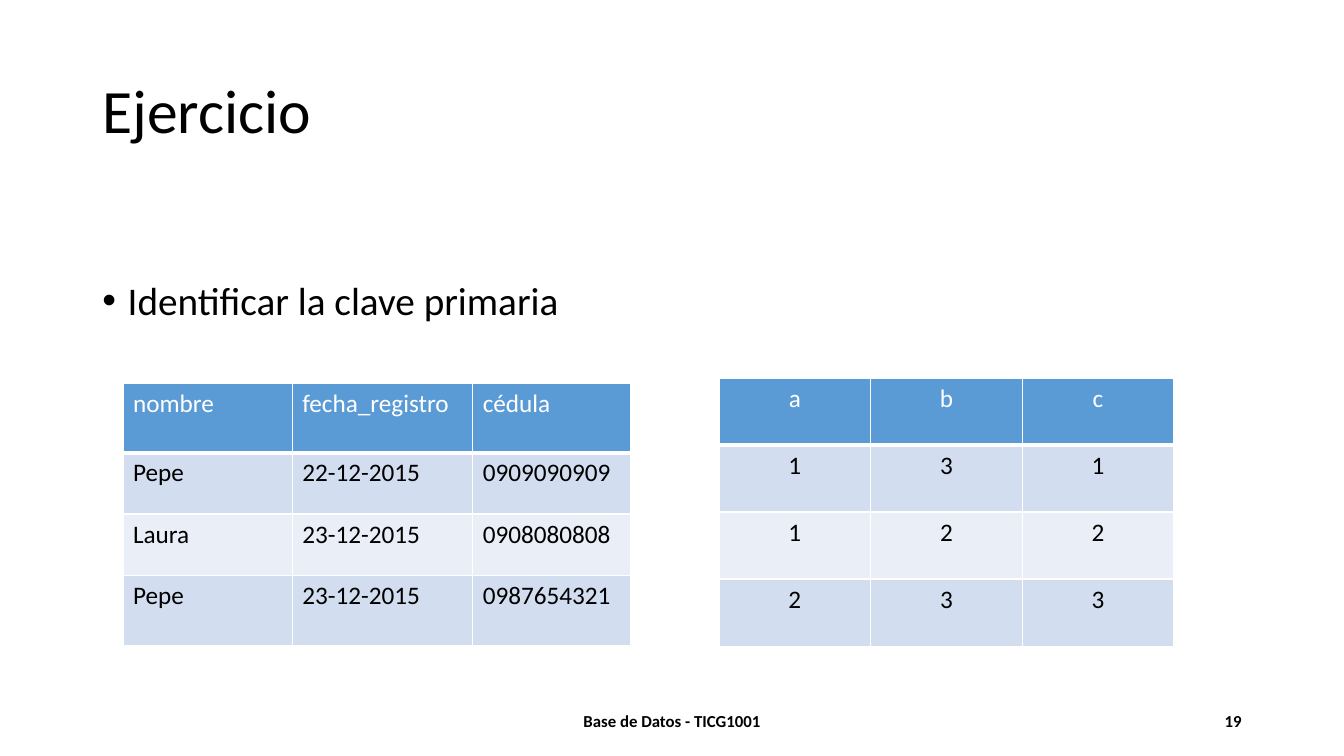
from dataclasses import dataclass
from typing import Any, NamedTuple

from lxml.etree import SubElement
from pptx import Presentation
from pptx.dml.color import RGBColor
from pptx.enum.text import MSO_ANCHOR, MSO_AUTO_SIZE, PP_ALIGN
from pptx.oxml.ns import qn
from pptx.util import Inches, Pt


@dataclass(frozen=True)
class Theme:
    font: str = "Calibri"
    ink: str = "000000"
    white: str = "FFFFFF"
    head: str = "5B9BD5"
    bands: tuple[str, str] = ("D2DEEF", "EAEFF7")
    title: int = 44
    body: int = 28
    cell: int = 18
    foot: int = 12
    thin: int = 1
    thick: int = 3


class Box(NamedTuple):
    """Place on a grid of 160 columns by 90 rows."""
    left: float
    top: float
    width: float
    height: float


@dataclass(frozen=True)
class Label:
    text: str
    box: Box
    align: PP_ALIGN


@dataclass(frozen=True)
class Grid:
    left: float
    top: float
    cols: list[float]
    rows: list[float]
    align: PP_ALIGN
    data: list[list[str]]


THEME = Theme()
WIDE, HIGH = Inches(13.33), Inches(7.5)
COL, ROW = WIDE / 160, HIGH / 90

LABELS = [
    Label("Base de Datos - TICG1001", Box(53, 83.4, 54, 4.8), PP_ALIGN.CENTER),
    Label("19", Box(113, 83.4, 36, 4.8), PP_ALIGN.RIGHT),
]
GRIDS = [
    Grid(85.6, 45, [18.05] * 3, [7.98] * 4, PP_ALIGN.CENTER, [
        ["a", "b", "c"],
        ["1", "3", "1"],
        ["1", "2", "2"],
        ["2", "3", "3"],
    ]),
    Grid(14.64, 45.6, [20.16, 21.48, 18.84], [8.3, 7.3, 7.3, 8.4], PP_ALIGN.LEFT, [
        ["nombre", "fecha_registro", "cédula"],
        ["Pepe", "22-12-2015", "0909090909"],
        ["Laura", "23-12-2015", "0908080808"],
        ["Pepe", "23-12-2015", "0987654321"],
    ]),
]


def apply(item: Any, style: dict[str, Any]) -> None:
    for name, value in style.items():
        setattr(item, name, value)


def scale(box: Box) -> dict[str, int]:
    return {"left": round(box.left * COL), "top": round(box.top * ROW),
            "width": round(box.width * COL), "height": round(box.height * ROW)}


def write(frame: Any, text: str, size: int, align: PP_ALIGN,
          color: str = THEME.ink, bold: bool = False) -> Any:
    frame.text = text
    par = frame.paragraphs[0]
    par.alignment = align
    font = par.runs[0].font
    apply(font, {"name": THEME.font, "size": Pt(size), "bold": bold})
    font.color.rgb = RGBColor.from_string(color)
    return par


def fill_holder(shape: Any, text: str, box: Box, size: int, anchor: MSO_ANCHOR) -> Any:
    apply(shape, scale(box))
    par = write(shape.text_frame, text, size, PP_ALIGN.LEFT)
    apply(shape.text_frame, {"vertical_anchor": anchor, "word_wrap": True,
                             "auto_size": MSO_AUTO_SIZE.NONE})
    apply(par, {"line_spacing": 0.9, "space_before": Pt(0)})
    return par


def add_bullet(par: Any) -> None:
    props = par._p.get_or_add_pPr()
    props.set("marL", str(Inches(0.25)))
    props.set("indent", str(-Inches(0.25)))
    SubElement(props, qn("a:buFont"), typeface="Arial")
    SubElement(props, qn("a:buChar"), char="•")


def add_label(slide: Any, label: Label) -> None:
    frame = slide.shapes.add_textbox(**scale(label.box)).text_frame
    apply(frame, {"word_wrap": True, "vertical_anchor": MSO_ANCHOR.MIDDLE})
    write(frame, label.text, THEME.foot, label.align, bold=True)


def add_edges(cell: Any, base: int) -> None:
    props = cell._tc.get_or_add_tcPr()
    for side in ("L", "R", "T", "B"):
        width = base if side == "B" else THEME.thin
        line = SubElement(props, qn(f"a:ln{side}"), w=str(Pt(width)))
        paint = SubElement(line, qn("a:solidFill"))
        SubElement(paint, qn("a:srgbClr"), val=THEME.white)


def add_grid(slide: Any, grid: Grid) -> None:
    box = Box(grid.left, grid.top, sum(grid.cols), sum(grid.rows))
    table = slide.shapes.add_table(len(grid.rows), len(grid.cols), **scale(box)).table
    for col, width in zip(table.columns, grid.cols):
        col.width = round(width * COL)
    for row, high in zip(table.rows, grid.rows):
        row.height = round(high * ROW)
    for r, line in enumerate(grid.data):
        head = r == 0
        back = THEME.head if head else THEME.bands[(r - 1) % 2]
        for c, text in enumerate(line):
            cell = table.cell(r, c)
            write(cell.text_frame, text, THEME.cell, grid.align,
                  THEME.white if head else THEME.ink)
            add_edges(cell, THEME.thick if head else THEME.thin)
            cell.fill.solid()
            cell.fill.fore_color.rgb = RGBColor.from_string(back)


def main() -> None:
    deck = Presentation()
    apply(deck, {"slide_width": WIDE, "slide_height": HIGH})
    slide = deck.slides.add_slide(deck.slide_layouts[1])

    # Title and task
    fill_holder(slide.shapes.title, "Ejercicio", Box(11, 4.8, 138, 17.4),
                THEME.title, MSO_ANCHOR.MIDDLE)
    task = fill_holder(slide.placeholders[1], "Identificar la clave primaria",
                       Box(11, 32.9, 67.7, 48.4), THEME.body, MSO_ANCHOR.TOP)
    add_bullet(task)

    # Footer
    for label in LABELS:
        add_label(slide, label)

    # Tables
    for grid in GRIDS:
        add_grid(slide, grid)

    deck.save("out.pptx")


if __name__ == "__main__":
    main()
